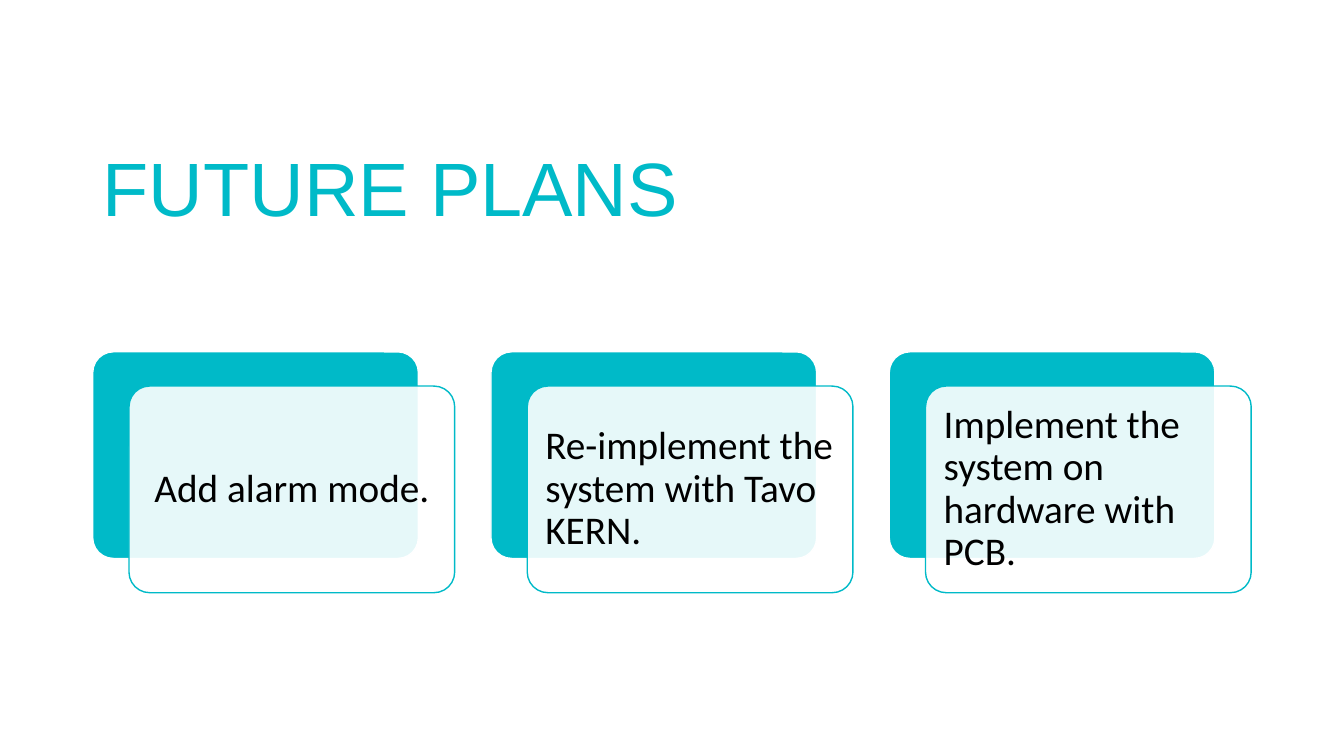
"""Build the Future Plans slide with three layered cards."""
from dataclasses import dataclass

import lxml.etree
import pptx
import pptx.dml.color
import pptx.enum.shapes
import pptx.enum.text
import pptx.oxml.ns
import pptx.shapes.autoshape
import pptx.slide
import pptx.util

Inches = pptx.util.Inches
Align = pptx.enum.text.PP_ALIGN
Anchor = pptx.enum.text.MSO_ANCHOR

COLORS = {"teal": "00BAC8", "white": "FFFFFF", "black": "000000"}
CARD_LEFT, CARD_TOP, CARD_STEP = 0.92, 3.49, 3.95
CARD_WIDTH, CARD_HEIGHT = 3.23, 2.05
FRONT_SHIFT_X, FRONT_SHIFT_Y = 0.36, 0.34


@dataclass(frozen=True)
class Plan:
    text: str
    align: Align = Align.LEFT


PLANS = (
    Plan("Add alarm mode.", Align.CENTER),
    Plan("Re-implement the system with Tavo KERN."),
    Plan("Implement the system on hardware with PCB."),
)


def color(name: str) -> pptx.dml.color.RGBColor:
    return pptx.dml.color.RGBColor.from_string(COLORS[name])


def write(
    shape: pptx.shapes.autoshape.Shape, text: str, font_name: str, size: int,
    color_name: str, anchor: Anchor, align: Align = Align.LEFT,
) -> None:
    frame = shape.text_frame
    frame.word_wrap = True
    frame.vertical_anchor = anchor
    paragraph = frame.paragraphs[0]
    paragraph.text = text
    paragraph.alignment = align
    paragraph.line_spacing = 0.9
    paragraph.font.name = font_name
    paragraph.font.size = pptx.util.Pt(size)
    paragraph.font.color.rgb = color(color_name)


def add_panel(
    page: pptx.slide.Slide, left: float, top: float, fill: str, line: str
) -> pptx.shapes.autoshape.Shape:
    panel = page.shapes.add_shape(
        pptx.enum.shapes.MSO_SHAPE.ROUNDED_RECTANGLE,
        Inches(left), Inches(top), Inches(CARD_WIDTH), Inches(CARD_HEIGHT),
    )
    panel.adjustments[0] = 0.1
    panel.shadow.inherit = False
    panel.fill.solid()
    panel.fill.fore_color.rgb = color(fill)
    panel.line.color.rgb = color(line)
    panel.line.width = pptx.util.Pt(1)
    return panel


def set_opacity(shape: pptx.shapes.autoshape.Shape, percent: int) -> None:
    fill_color = shape.fill._xPr.find(
        f"{pptx.oxml.ns.qn('a:solidFill')}/{pptx.oxml.ns.qn('a:srgbClr')}"
    )
    alpha = lxml.etree.SubElement(fill_color, pptx.oxml.ns.qn("a:alpha"))
    alpha.set("val", str(percent * 1000))


def add_card(page: pptx.slide.Slide, left: float, plan: Plan) -> None:
    add_panel(page, left, CARD_TOP, "teal", "white")
    front = add_panel(
        page, left + FRONT_SHIFT_X, CARD_TOP + FRONT_SHIFT_Y, "white", "teal"
    )
    set_opacity(front, 90)
    frame = front.text_frame
    frame.margin_left = frame.margin_right = Inches(0.12)
    frame.margin_top = frame.margin_bottom = Inches(0.12)
    write(front, plan.text, "Calibri", 28, "black", Anchor.MIDDLE, plan.align)


def main() -> None:
    deck = pptx.Presentation()
    deck.slide_width = Inches(13.33)
    deck.slide_height = Inches(7.5)
    page = deck.slides.add_slide(deck.slide_layouts[6])
    title = page.shapes.add_textbox(
        Inches(0.92), Inches(0.4), Inches(11.5), Inches(1.96)
    )
    write(title, "FUTURE PLANS", "Arial", 54, "teal", Anchor.BOTTOM)
    for index, plan in enumerate(PLANS):
        add_card(page, CARD_LEFT + index * CARD_STEP, plan)
    deck.save("out.pptx")


if __name__ == "__main__":
    main()
